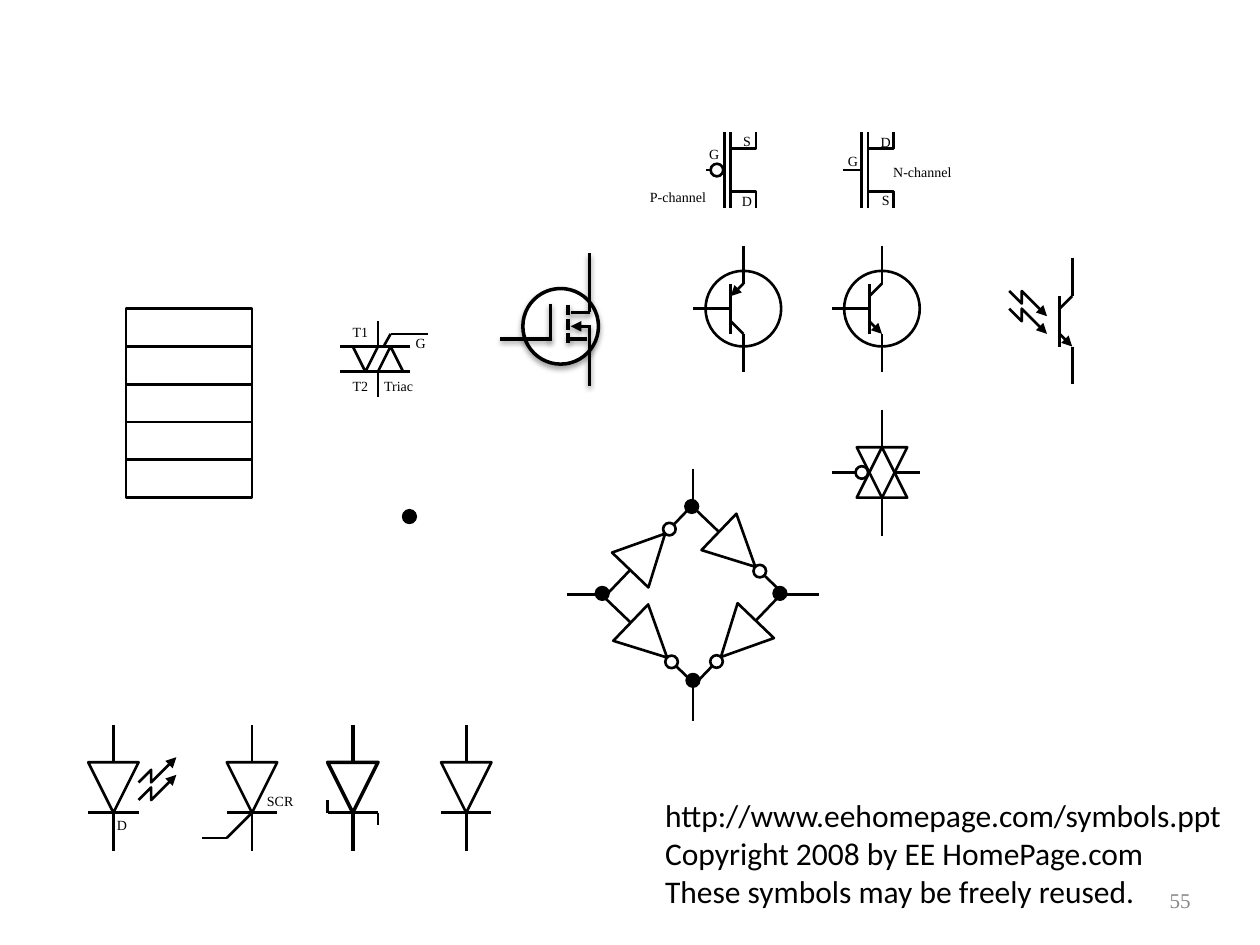
import math
from dataclasses import dataclass

from lxml import etree
from pptx import Presentation
from pptx import util as u
from pptx.dml.color import RGBColor
from pptx.enum import dml, shapes, text
from pptx.oxml.ns import qn

BLACK, WHITE, GREY = "000000", "FFFFFF", "888888"
KIND = shapes.MSO_SHAPE


def colour(value):
    return RGBColor.from_string(value)


def add_effects(shape, opacity):
    effects = etree.SubElement(shape._element.spPr, qn("a:effectLst"))
    if opacity:
        shadow = etree.SubElement(effects, qn("a:outerShdw"), blurRad=str(u.Pt(3)),
                                  dist=str(u.Pt(1.7)), dir="5400000", rotWithShape="0")
        black = etree.SubElement(shadow, qn("a:srgbClr"), val=BLACK)
        etree.SubElement(black, qn("a:alpha"), val=str(opacity * 1000))


def add_text(parent, box, lines, size, font_name, fill=BLACK, frame_format=None, align=None):
    shape = parent.add_textbox(*map(u.Inches, box))
    frame = shape.text_frame
    frame_values = {"word_wrap": False, **(frame_format or {})}
    for name, value in frame_values.items():
        setattr(frame, name, value)
    for index, line in enumerate(lines):
        paragraph = frame.add_paragraph() if index else frame.paragraphs[0]
        paragraph.alignment = align
        run = paragraph.add_run()
        run.text = line
        for name, value in {"size": u.Pt(size), "name": font_name}.items():
            setattr(run.font, name, value)
        run.font.color.rgb = colour(fill)


@dataclass
class Pen:
    parent: object
    left: float
    top: float
    width: float = 1.5
    shadow: int = 0

    def place(self, x, y):
        return u.Inches(self.left + x), u.Inches(self.top + y)

    def stroke(self, shape, arrow=False, dash=None):
        shape.line.color.rgb = colour(BLACK)
        shape.line.width = u.Pt(self.width)
        if dash:
            shape.line.dash_style = dash
        if arrow:
            outline = shape._element.spPr.find(qn("a:ln"))
            etree.SubElement(outline, qn("a:tailEnd"), type="triangle")
        add_effects(shape, self.shadow)

    def line(self, x1, y1, x2, y2, arrow=False, dash=None):
        connector = self.parent.add_connector(
            shapes.MSO_CONNECTOR.STRAIGHT, *self.place(x1, y1), *self.place(x2, y2))
        self.stroke(connector, arrow, dash)

    def lines(self, *segments):
        for segment in segments:
            self.line(*segment)

    def shape(self, kind, x, y, width, height, fill=None, rotation=0):
        shape = self.parent.add_shape(
            kind, *self.place(x, y), u.Inches(width), u.Inches(height))
        shape.rotation = rotation
        if fill:
            shape.fill.solid()
            shape.fill.fore_color.rgb = colour(fill)
        else:
            shape.fill.background()
        self.stroke(shape)

    def triangle(self, x, y, size=0.4, rotation=180):
        self.shape(KIND.ISOSCELES_TRIANGLE, x, y, size, size, rotation=rotation)

    def circle(self, x, y, size=0.1, fill=None):
        self.shape(KIND.OVAL, x - size / 2, y - size / 2, size, size, fill)

    def path_line(self, points, arrow=False):
        start, *others = [self.place(*point) for point in points]
        builder = self.parent.build_freeform(*start)
        builder.add_line_segments(others, close=False)
        shape = builder.convert_to_shape()
        shape.fill.background()
        self.stroke(shape, arrow)

    def label(self, x, y, width, words):
        box = (self.left + x, self.top + y, width, 0.23)
        add_text(self.parent, box, [words], 8, "Times New Roman")


def symbol(slide, left, top, width=1.5, shadow=0):
    return Pen(slide.shapes.add_group_shape().shapes, left, top, width, shadow)


def light_rays(pen, x, y, incoming=False):
    steps = [(0, 0.2), (0.1, 0.1), (0.1, 0.2), (0.3, 0)]
    for offset in (0, 0.14):
        pen.path_line([(x + dx, y + offset + (0.2 - dy if incoming else dy))
                       for dx, dy in steps], arrow=True)


def diode(slide, left, top, width=1.5):
    pen = symbol(slide, left, top, width)
    pen.triangle(0, 0.3)
    pen.lines((0.2, 0.7, 0.2, 1), (0.2, 0.3, 0.2, 0))
    pen.width = 1.5
    pen.line(0, 0.7, 0.4, 0.7)
    return pen


def diode_row(slide, left, top):
    led = diode(slide, left, top)
    light_rays(led, 0.4, 0.26)
    led.label(0.13, 0.68, 0.28, "D")
    rectifier = diode(slide, left + 1.1, top)
    rectifier.label(0.22, 0.49, 0.44, "SCR")
    rectifier.lines((0.2, 0.7, 0, 0.9), (0, 0.9, -0.2, 0.9))
    zener = diode(slide, left + 1.9, top, width=2)
    zener.lines((0.4, 0.7, 0.4, 0.8), (0, 0.6, 0, 0.7))
    diode(slide, left + 2.8, top)


def bridge(slide, left, top):
    pen = symbol(slide, left, top)
    for x, y, angle in ((0.65, 1.36, 133.8), (0.64, 0.66, 43.8),
                        (1.35, 0.64, 133.8), (1.36, 1.35, 223.8)):
        dx, dy = math.sin(math.radians(angle)), -math.cos(math.radians(angle))
        pen.triangle(x - 0.2, y - 0.2, rotation=angle)
        for start, end in ((0.2, 0.5), (-0.2, -0.5)):
            pen.line(x + start * dx, y + start * dy, x + end * dx, y + end * dy)
        pen.circle(x + 0.25 * dx, y + 0.25 * dy, fill=WHITE)
    pen.lines((1, 1.7, 1, 2), (0.3, 1, 0, 1), (2, 1, 1.7, 1), (1, 0, 1, 0.3))
    for x, y in ((0.99, 0.3), (1.69, 0.99), (1, 1.68), (0.28, 0.99)):
        pen.circle(x, y, fill=BLACK)


def transmission_gate(slide, left, top):
    pen = symbol(slide, left, top)
    for rotation in (0, 180):
        pen.triangle(0.2, 0.3, rotation=rotation)
    pen.lines((0.4, 0.7, 0.4, 1), (0.4, 0.3, 0.4, 0),
              (0.2, 0.5, 0, 0.5), (0.5, 0.5, 0.7, 0.5))
    pen.circle(0.24, 0.5)


def transistor(slide, left, top, emitter_below=True, optical=False):
    pen = symbol(slide, left, top)
    pen.lines((0.4, 0, 0.4, 0.3), (0.4, 0.7, 0.4, 1), (0.3, 0.3, 0.3, 0.7),
              (0.3, 0.6, 0.4, 0.7, emitter_below),
              (0.4, 0.3, 0.3, 0.4, not emitter_below))
    if optical:
        light_rays(pen, -0.1, 0.26, incoming=True)
    else:
        pen.circle(0.4, 0.5, 0.6)
        pen.line(0.3, 0.5, 0, 0.5)


def channel_switch(slide, left, top, labels, inverted=False):
    pen = symbol(slide, left, top)
    pen.lines((0.15, 0.3, 0, 0.3), (0.15, 0, 0.15, 0.6), (0.2, 0, 0.2, 0.6))
    for inner, outer in ((0.13, 0), (0.47, 0.6)):
        pen.path_line([(0.2, inner), (0.4, inner), (0.4, outer)])
    if inverted:
        pen.circle(0.09, 0.3, fill=WHITE)
    for words, x, y in labels:
        pen.label(x, y, 0.28, words)


def power_mosfet(slide, left, top):
    pen = symbol(slide, left, top, 2, 35)
    pen.circle(0.48, 0.58, 0.6, WHITE)
    pen.shadow = 38
    pen.lines((0.71, 0.58, 0.56, 0.58, True), (0.71, 0.57, 0.71, 1.05),
              (0.4, 0.4, 0.4, 0.7),
              (0.54, 0.41, 0.54, 0.71, False, dml.MSO_LINE.SQUARE_DOT),
              (0, 0.68, 0.4, 0.68), (0.71, 0.47, 0.56, 0.47),
              (0.69, 0.68, 0.54, 0.68), (0.71, 0, 0.71, 0.47))


def triac(slide, left, top):
    pen = symbol(slide, left, top)
    pen.triangle(0.3, 0.2, 0.2, 0)
    pen.triangle(0.1, 0.2, 0.2)
    pen.lines((0.3, 0.4, 0.3, 0.6), (0.3, 0.2, 0.3, 0),
              (0, 0.2, 0.55, 0.2), (0, 0.4, 0.55, 0.4),
              (0.4, 0.1, 0.7, 0.1), (0.4, 0.1, 0.35, 0.19))
    for x, y, width, words in ((0, 0.4, 0.33, "T2"), (0, -0.03, 0.33, "T1"),
                               (0.5, 0.06, 0.29, "G"), (0.25, 0.4, 0.45, "Triac")):
        pen.label(x, y, width, words)


def stack(slide, left, top, width, height, rows):
    pen = Pen(slide.shapes, left, top)
    for row in range(rows):
        pen.shape(KIND.RECTANGLE, 0, row * height / rows, width, height / rows)


def captions(slide):
    add_text(slide.shapes, (5.18, 6.27, 4.71, 1.01),
             ["http://www.eehomepage.com/symbols.ppt",
              "Copyright 2008 by EE HomePage.com",
              "These symbols may be freely reused."], 18, "Calibri")
    pen = Pen(slide.shapes, 0, 0)
    pen.label(5.06, 1.45, 0.7, "P-channel")
    pen.label(6.99, 1.25, 0.71, "N-channel")
    pen.circle(3.25, 4.1, fill=BLACK)
    margins = {f"margin_{side}": u.Inches(0.05) for side in ("left", "right", "top", "bottom")}
    add_text(slide.shapes, (7.17, 7, 2.33, 0.29), ["55"], 12, "Times New Roman", GREY,
             {"word_wrap": True, "vertical_anchor": text.MSO_ANCHOR.MIDDLE, **margins},
             text.PP_ALIGN.RIGHT)


def main():
    presentation = Presentation()
    presentation.slide_width, presentation.slide_height = u.Inches(10), u.Inches(7.5)
    slide = presentation.slides.add_slide(presentation.slide_layouts[6])
    captions(slide)
    diode_row(slide, 0.7, 5.75)
    bridge(slide, 4.5, 3.72)
    transmission_gate(slide, 6.6, 3.25)
    transistor(slide, 5.5, 1.95, emitter_below=False)
    transistor(slide, 6.6, 1.95)
    transistor(slide, 8.11, 2.05, optical=True)
    channel_switch(slide, 6.69, 1.05,
                   [("G", -0.06, 0.11), ("S", 0.21, 0.42), ("D", 0.2, -0.04)])
    channel_switch(slide, 5.6, 1.05,
                   [("S", 0.2, -0.05), ("G", -0.07, 0.06), ("D", 0.19, 0.43)], inverted=True)
    stack(slide, 1, 2.45, 1, 1.5, 5)
    triac(slide, 2.7, 2.55)
    power_mosfet(slide, 3.97, 2.01)
    presentation.save("out.pptx")


if __name__ == "__main__":
    main()
